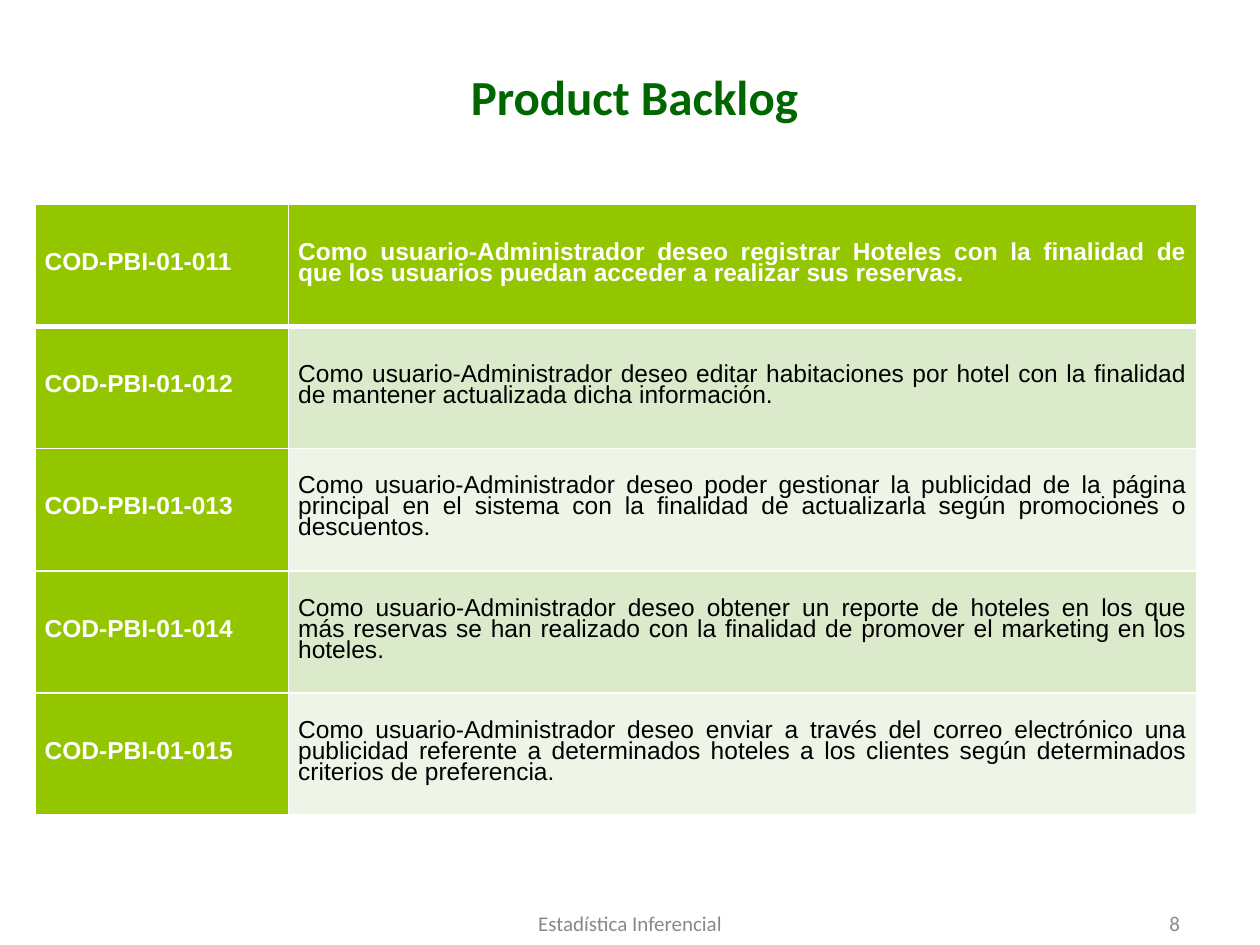
from pptx import Presentation
from pptx.dml.color import RGBColor
from pptx.enum.text import MSO_ANCHOR, PP_ALIGN
from pptx.oxml import parse_xml
from pptx.oxml.ns import nsdecls
from pptx.util import Pt

TOP, MIDDLE = MSO_ANCHOR.TOP, MSO_ANCHOR.MIDDLE
LEFT, CENTER, RIGHT, JUSTIFY = PP_ALIGN.LEFT, PP_ALIGN.CENTER, PP_ALIGN.RIGHT, PP_ALIGN.JUSTIFY

# Content
COLORS = {
    "title": "006600", "footer": "898989", "number": "8C8C8C",
    "white": "FFFFFF", "black": "000000",
    "green": "94C600", "band_dark": "DCEACC", "band_light": "EEF5E7",
}
# text, (left, top, width, height), size, bold, color, alignment, anchor
TEXTS = [
    ("Estadística Inferencial", (246, 513.4, 228, 28.75), 12, False, "footer", CENTER, MIDDLE),
    ("8", (513.4, 513.4, 168, 28.75), 12, False, "number", RIGHT, MIDDLE),
    ("Product Backlog", (76.3, 34.6, 572.4, 45.4), 28, True, "title", CENTER, TOP),
]
BACKLOG = [
    ("COD-PBI-01-011", "Como usuario-Administrador deseo registrar Hoteles con la finalidad de "
     "que los usuarios puedan acceder a realizar sus reservas."),
    ("COD-PBI-01-012", "Como usuario-Administrador deseo editar habitaciones por hotel con la "
     "finalidad de mantener actualizada dicha información."),
    ("COD-PBI-01-013", "Como usuario-Administrador deseo poder gestionar la publicidad de la "
     "página principal en el sistema con la finalidad de actualizarla según promociones o "
     "descuentos."),
    ("COD-PBI-01-014", "Como usuario-Administrador deseo obtener un reporte de hoteles en los "
     "que más reservas se han realizado con la finalidad de promover el marketing en los "
     "hoteles."),
    ("COD-PBI-01-015", "Como usuario-Administrador deseo enviar a través del correo electrónico "
     "una publicidad referente a determinados hoteles a los clientes según determinados "
     "criterios de preferencia."),
]
TABLE_LEFT, TABLE_TOP = 20, 116.8
COL_WIDTHS = (144.9, 518.9)
ROW_HEIGHT = 69.8


def rgb(name):
    return RGBColor.from_string(COLORS[name])


def write(p, text, size, bold, color, font, align):
    p.alignment = align
    r = p.add_run()
    r.text = text
    r.font.size, r.font.bold, r.font.name = Pt(size), bold, font
    r.font.color.rgb = rgb(color)


def set_borders(cell, widths):
    """Add white borders; widths maps L, R, T, B to points."""
    tc_pr = cell._tc.get_or_add_tcPr()
    for i, (side, width) in enumerate(widths.items()):
        tc_pr.insert(i, parse_xml(
            f'<a:ln{side} {nsdecls("a")} w="{Pt(width)}"><a:solidFill>'
            f'<a:srgbClr val="{COLORS["white"]}"/></a:solidFill></a:ln{side}>'))


prs = Presentation()
prs.slide_width, prs.slide_height = Pt(720), Pt(540)
s = prs.slides.add_slide(prs.slide_layouts[6])

# Title and footer
for text, box, size, bold, color, align, anchor in TEXTS:
    tf = s.shapes.add_textbox(*map(Pt, box)).text_frame
    tf.word_wrap = True
    tf.vertical_anchor = anchor
    write(tf.paragraphs[0], text, size, bold, color, "Calibri", align)

# Backlog table
table = s.shapes.add_table(
    len(BACKLOG), len(COL_WIDTHS), Pt(TABLE_LEFT), Pt(TABLE_TOP),
    Pt(sum(COL_WIDTHS)), Pt(ROW_HEIGHT * len(BACKLOG))).table
for column, width in zip(table.columns, COL_WIDTHS):
    column.width = Pt(width)
for i, item in enumerate(BACKLOG):
    table.rows[i].height = Pt(ROW_HEIGHT)
    for j, text in enumerate(item):
        cell = table.cell(i, j)
        strong = i == 0 or j == 0  # first row and code column
        band = "band_dark" if i % 2 else "band_light"
        cell.fill.solid()
        cell.fill.fore_color.rgb = rgb("green" if strong else band)
        cell.vertical_anchor = MIDDLE
        cell.margin_left = Pt(5.5)
        cell.margin_right = cell.margin_top = cell.margin_bottom = Pt(5.5 if j else 0.7)
        p = cell.text_frame.paragraphs[0]
        p.line_spacing, p.space_before = Pt(12), Pt(6)
        write(p, text, 14, strong, "white" if strong else "black", "Arial",
              JUSTIFY if j else LEFT)
        set_borders(cell, {"L": 1, "R": 1, "T": 3 if i == 1 else 1, "B": 3 if i == 0 else 1})

prs.save("out.pptx")
